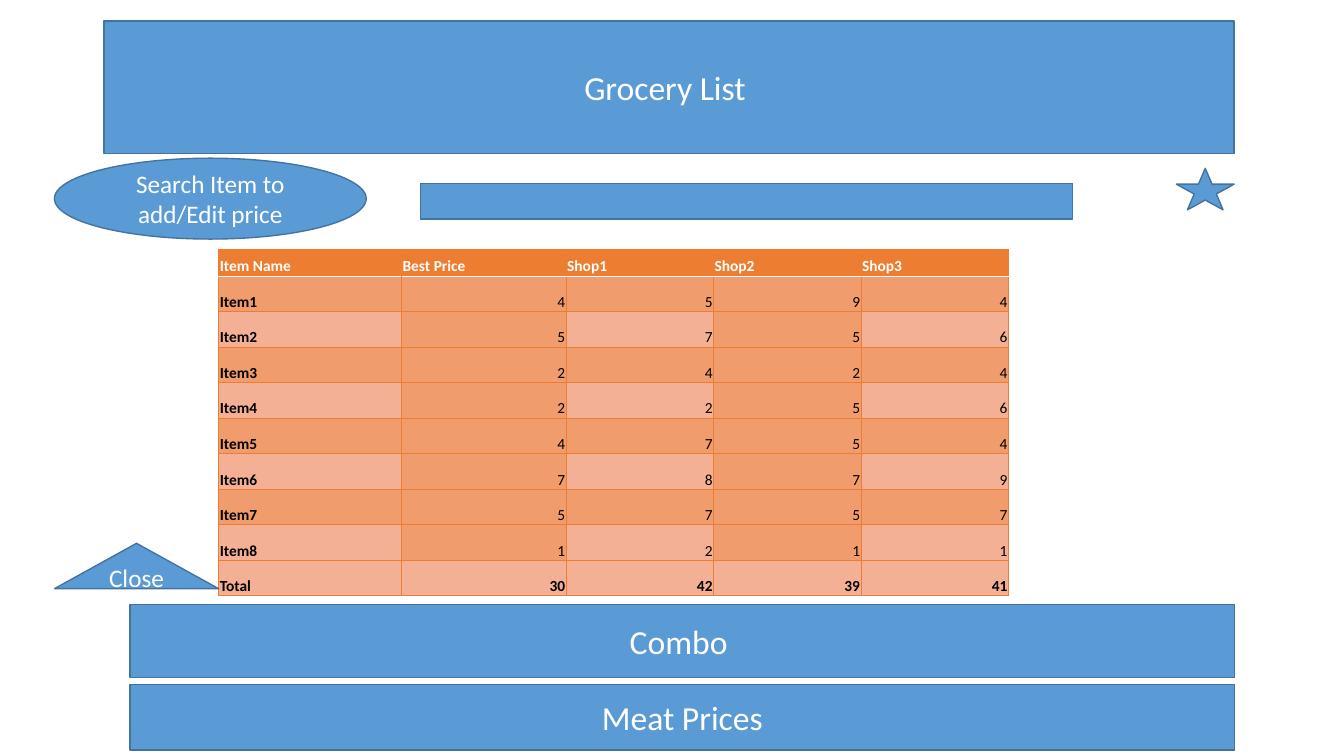
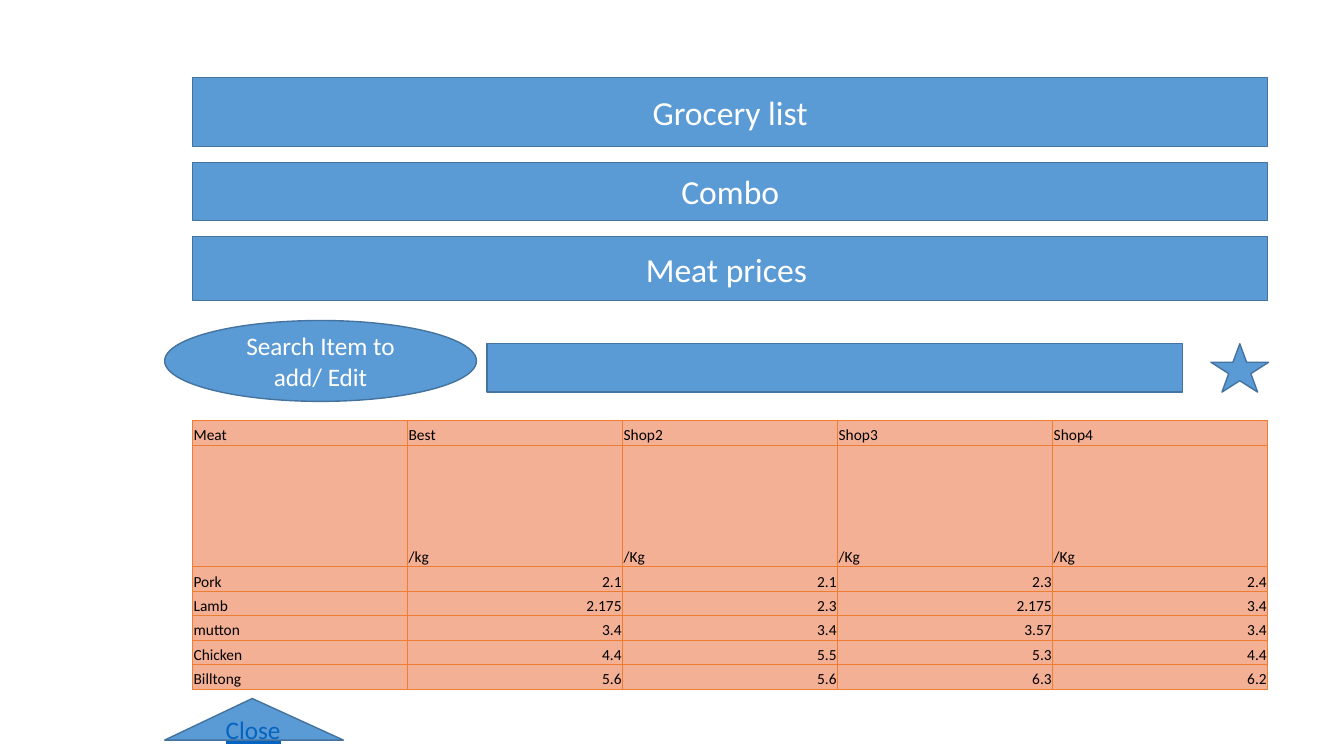
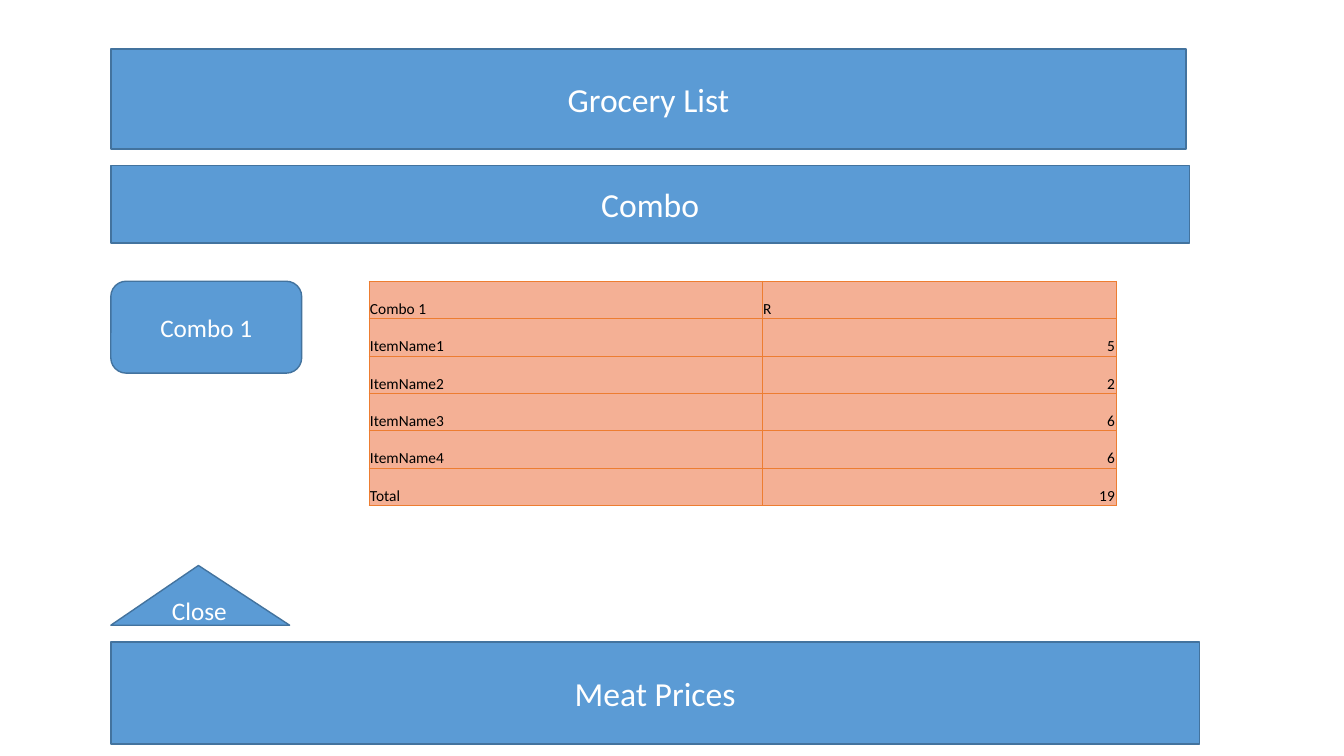
from dataclasses import dataclass

from lxml import etree
from pptx import Presentation, util as u
from pptx.dml.color import RGBColor
from pptx.enum import shapes, text
from pptx.oxml.ns import qn


# Theme
@dataclass(frozen=True)
class Theme:
    font: str = "Calibri"
    blue: str = "5B9BD5"
    edge: str = "43739E"
    link: str = "0563C1"
    white: str = "FFFFFF"
    black: str = "000000"
    orange: str = "ED7D31"
    band: str = "F19C6D"
    pale: str = "F4B095"
    heading: int = 24
    label: int = 18
    cell: int = 11


T = Theme()
RECT = shapes.MSO_SHAPE.RECTANGLE
OVAL = shapes.MSO_SHAPE.OVAL
STAR = shapes.MSO_SHAPE.STAR_5_POINT
ROUND = shapes.MSO_SHAPE.ROUNDED_RECTANGLE
TRIANGLE = shapes.MSO_SHAPE.ISOSCELES_TRIANGLE

prs = Presentation()
prs.slide_width, prs.slide_height = u.Inches(13.33), u.Inches(7.5)
X, Y = prs.slide_width / 100, prs.slide_height / 100  # one percent of the slide


def add_run(p, words, size, color, bold=False, underline=False):
    r = p.add_run()
    r.text = words
    r.font.name, r.font.size = T.font, u.Pt(size)
    r.font.color.rgb = RGBColor.from_string(color)
    r.font.bold, r.font.underline = bold, underline


def set_border(cell, side, color, width):
    ln = etree.SubElement(cell._tc.get_or_add_tcPr(), qn("a:ln" + side), w=str(u.Pt(width)))
    fill = etree.SubElement(ln, qn("a:solidFill"))
    etree.SubElement(fill, qn("a:srgbClr"), val=color)


# Slide contents: all lengths are percentages of the slide's width or height
# Blocks: shape, left, top, width, height, words, size
grocery = dict(
    at=(16.28, 32.93), cols=[13.6, 12.25] + [10.97] * 3, heights=[3.6] + [4.7] * 9,
    styled=True,
    rows=[
        ["Item Name", "Best Price", "Shop1", "Shop2", "Shop3"],
        ["Item1", 4, 5, 9, 4],
        ["Item2", 5, 7, 5, 6],
        ["Item3", 2, 4, 2, 4],
        ["Item4", 2, 2, 5, 6],
        ["Item5", 4, 7, 5, 4],
        ["Item6", 7, 8, 7, 9],
        ["Item7", 5, 7, 5, 7],
        ["Item8", 1, 2, 1, 1],
        ["Total", 30, 42, 39, 41],
    ],
    blocks=[
        (TRIANGLE, 4.05, 71.87, 12.22, 6, "Close", T.label),
        (STAR, 87.53, 22.27, 4.3, 5.5, "", T.label),
        (OVAL, 4.05, 20.93, 23.2, 10.7, "Search Item to add/Edit price", T.label),
        (RECT, 31.28, 24.27, 48.53, 4.7, "", T.label),
        (RECT, 7.73, 2.8, 84.08, 17.5, "Grocery List ", T.heading),
        (RECT, 9.68, 80, 82.2, 9.6, "Combo ", T.heading),
        (RECT, 9.68, 90.53, 82.2, 8.7, "Meat Prices", T.heading),
    ],
)
meat = dict(
    at=(14.33, 55.6), cols=[16] * 5, heights=[3.24, 16.13] + [3.24] * 5,
    styled=False, link=True,
    rows=[
        ["Meat", "Best", "Shop2", "Shop3", "Shop4"],
        ["", "/kg", "/Kg", "/Kg", "/Kg"],
        ["Pork", 2.1, 2.1, 2.3, 2.4],
        ["Lamb", "2.175", 2.3, "2.175", 3.4],
        ["mutton", 3.4, 3.4, 3.57, 3.4],
        ["Chicken", 4.4, 5.5, 5.3, 4.4],
        ["Billtong", 5.6, 5.6, 6.3, 6.2],
    ],
    blocks=[
        (RECT, 14.33, 10.27, 80, 9.1, "Grocery list", T.heading),
        (RECT, 14.33, 21.5, 80, 7.65, "Combo", T.heading),
        (RECT, 14.33, 31.33, 80, 8.45, "Meat prices ", T.heading),
        (TRIANGLE, 12.25, 92.4, 13.3, 5.5, "Close", T.label),
        (STAR, 90.1, 45.47, 4.3, 6.4, "", T.label),
        (OVAL, 12.25, 42.4, 23.2, 10.7, "Search Item to add/ Edit", T.label),
        (RECT, 36.25, 45.47, 51.75, 6.4, "", T.label),
    ],
)
combo = dict(
    at=(27.45, 37.2), cols=[29.25, 26.33], heights=[4.94] * 6,
    styled=False,
    rows=[
        ["Combo 1", "R"],
        ["ItemName1", 5],
        ["ItemName2", 2],
        ["ItemName3", 6],
        ["ItemName4", 6],
        ["Total", 19],
    ],
    blocks=[
        (RECT, 8.25, 6.5, 80, 13.2, "Grocery List", T.heading),
        (RECT, 8.25, 21.87, 80.25, 10.3, "Combo", T.heading),
        (RECT, 8.25, 84.93, 81, 13.5, "Meat Prices", T.heading),
        (TRIANGLE, 8.25, 74.8, 13.3, 7.9, "Close", T.label),
        (ROUND, 8.25, 37.2, 14.2, 12.15, "Combo 1", T.label),
    ],
)

for page in (grocery, meat, combo):
    s = prs.slides.add_slide(prs.slide_layouts[6])

    # Price table
    rows, cols, heights = page["rows"], page["cols"], page["heights"]
    left, top = page["at"]
    table = s.shapes.add_table(
        len(rows), len(cols), int(left * X), int(top * Y),
        int(sum(cols) * X), int(sum(heights) * Y)).table
    table.first_row = table.horz_banding = False
    for column, width in zip(table.columns, cols):
        column.width = int(width * X)
    for row, height in zip(table.rows, heights):
        row.height = int(height * Y)

    last = len(rows) - 1
    for i, values in enumerate(rows):
        for j, value in enumerate(values):
            cell = table.cell(i, j)
            cell.vertical_anchor = text.MSO_ANCHOR.BOTTOM
            cell.margin_left = cell.margin_right = cell.margin_top = u.Inches(0.01)
            cell.margin_bottom = 0

            # The styled table has a header, bands, a key column and a total
            styled = page["styled"]
            header, total = styled and i == 0, styled and i == last
            body = styled and not header and not total
            banded = body and (i % 2 == 1 or j in (1, 3))
            edges = {side: (T.orange, 0.5) for side in "LRTB"}
            if header:
                edges["B"] = (T.white, 1)
            if styled and i == 1 and j > 0:
                edges["T"] = (T.white, 1)
            if body and j < 2:
                edges["RL"[j]] = (T.orange, 1)
            if total:
                edges["T"] = edges["B"] = (T.orange, 1)
            for side, (color, width) in edges.items():
                set_border(cell, side, color, width)
            cell.fill.solid()
            cell.fill.fore_color.rgb = RGBColor.from_string(
                T.orange if header else T.band if banded else T.pale)

            p = cell.text_frame.paragraphs[0]
            words = str(value)
            if words[:1].isdigit():
                p.alignment = text.PP_ALIGN.RIGHT
            if words:
                add_run(p, words, T.cell, T.white if header else T.black,
                        bold=header or total or (styled and j == 0))

    # Headings, search row and buttons
    for kind, left, top, width, height, words, size in page["blocks"]:
        sp = s.shapes.add_shape(
            kind, int(left * X), int(top * Y), int(width * X), int(height * Y))
        sp.shadow.inherit = False
        sp.fill.solid()
        sp.fill.fore_color.rgb = RGBColor.from_string(T.blue)
        sp.line.color.rgb = RGBColor.from_string(T.edge)
        sp.line.width = u.Pt(1)
        if kind == TRIANGLE and not page["styled"]:
            sp.adjustments[0] = 0.49
        if words:
            tf = sp.text_frame
            tf.word_wrap = True
            tf.vertical_anchor = text.MSO_ANCHOR.MIDDLE
            p = tf.paragraphs[0]
            p.alignment = text.PP_ALIGN.CENTER
            linked = kind == TRIANGLE and page.get("link", False)
            add_run(p, words, size, T.link if linked else T.white, underline=linked)

prs.save("out.pptx")
